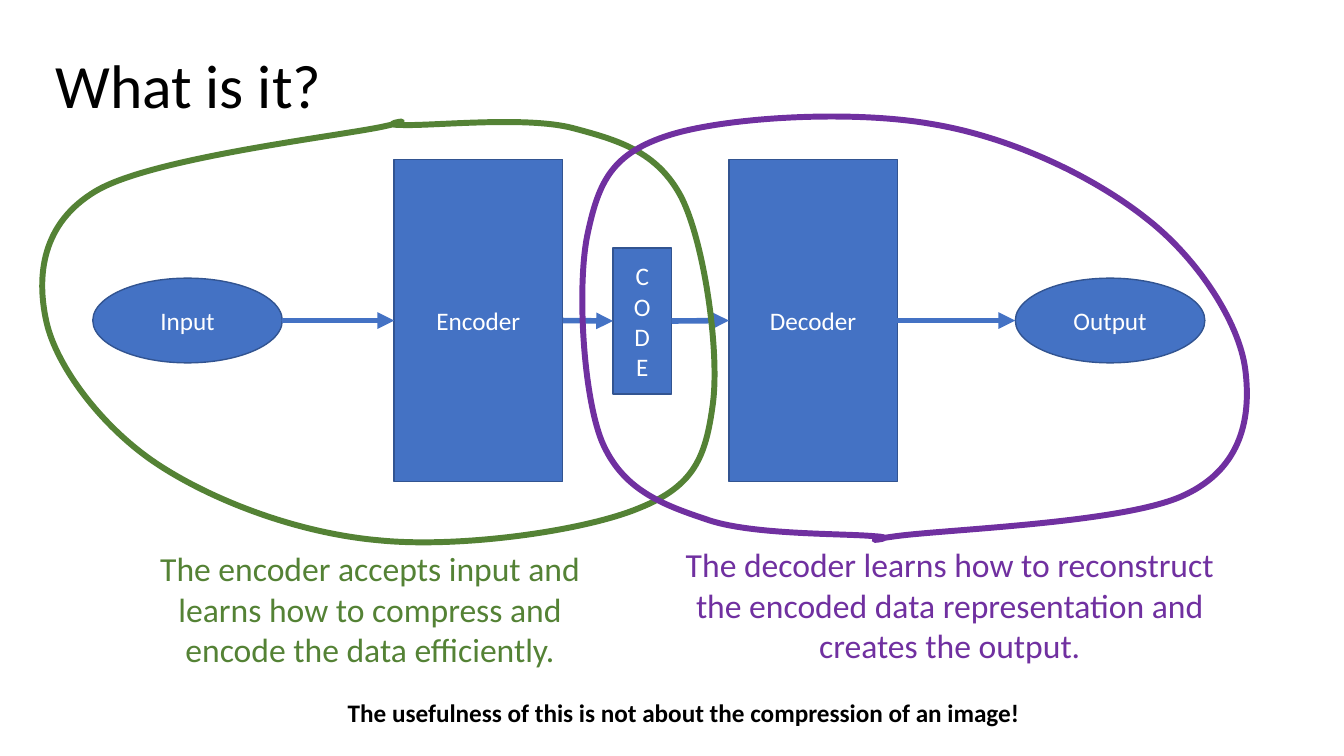
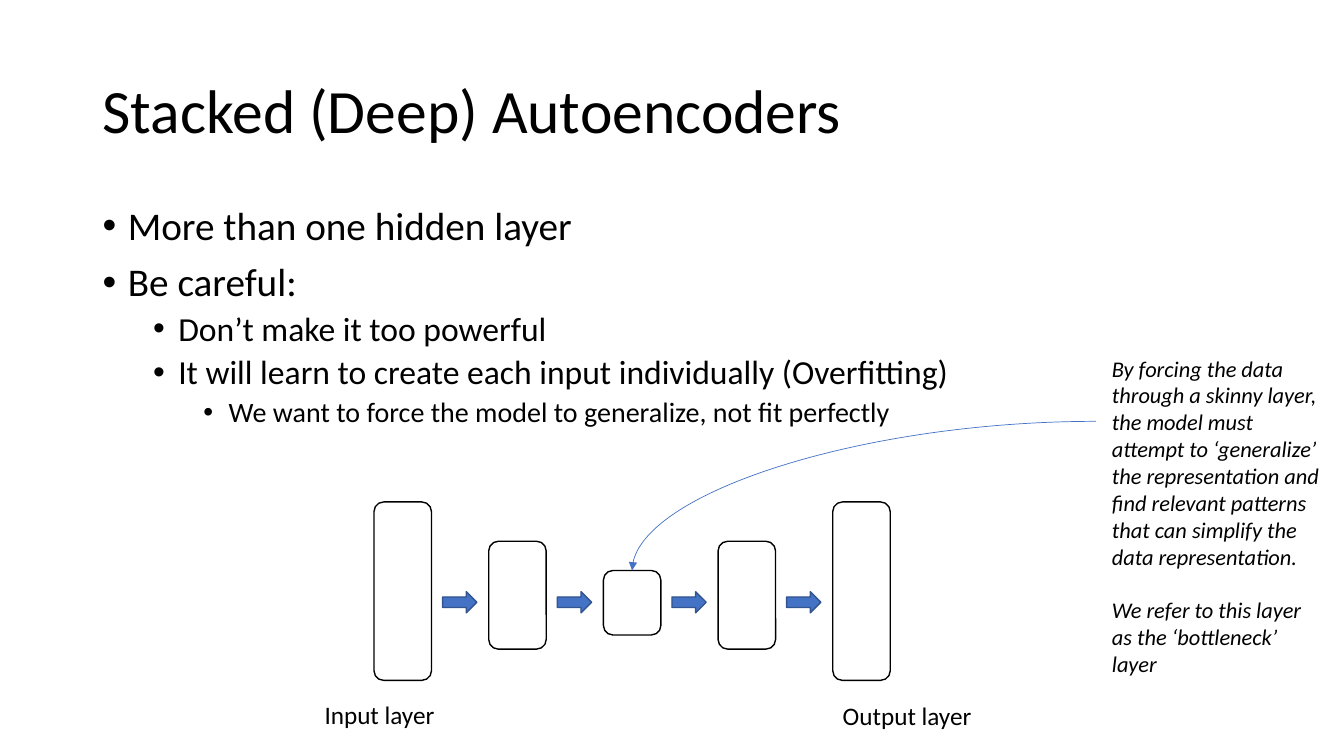
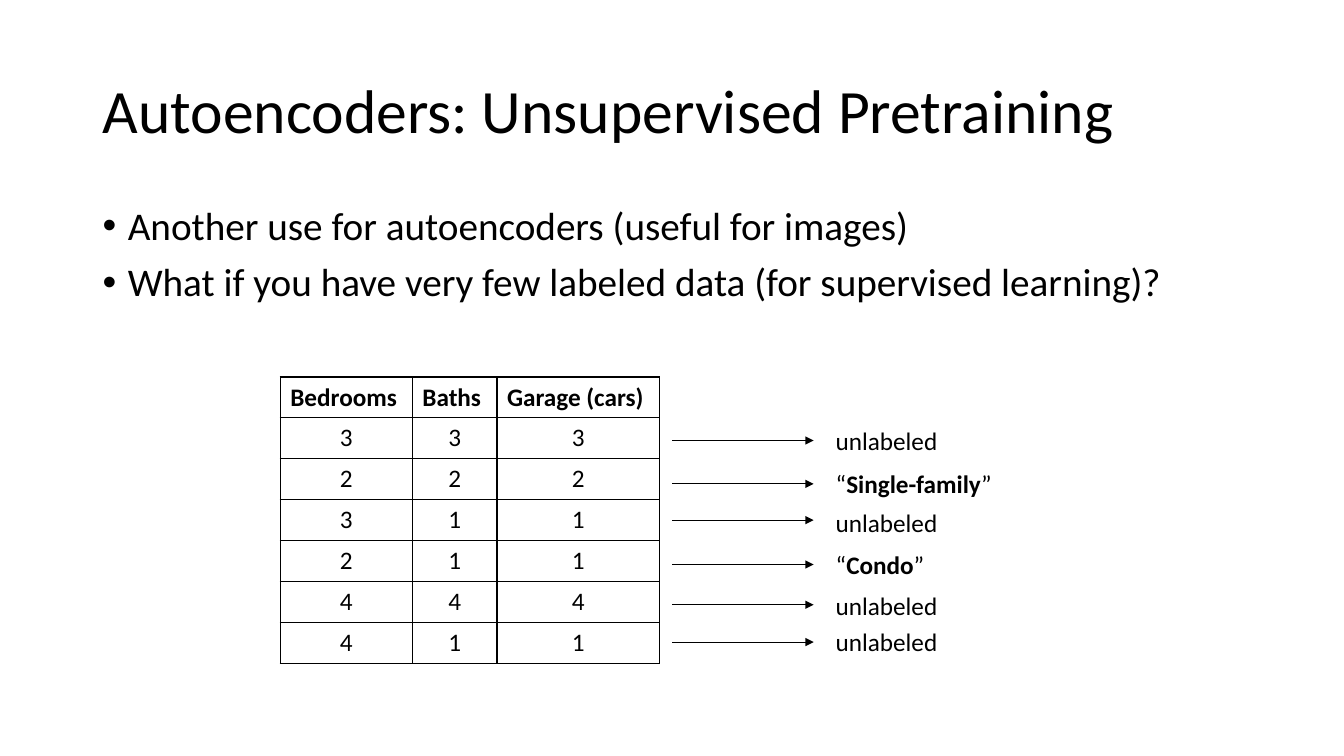
"""Build three slides that introduce autoencoders."""
from itertools import pairwise

from lxml import etree
from pptx import Presentation
from pptx import util as u
from pptx.dml.color import RGBColor
from pptx.enum import shapes, text
from pptx.oxml import ns

COLORS = {"black": "000000", "white": "FFFFFF", "blue": "4472C4",
          "outline": "325491", "green": "548235", "purple": "7030A0"}
FONT = "Calibri"
LEFT, CENTER = text.PP_ALIGN.LEFT, text.PP_ALIGN.CENTER


def write(frame, lines, size, color="black", align=LEFT, bold=False, italic=False):
    frame.word_wrap = True
    for number, line in enumerate(lines):
        paragraph = frame.add_paragraph() if number else frame.paragraphs[0]
        paragraph.alignment = align
        for position, part in enumerate((line,) if isinstance(line, str) else line):
            run = paragraph.add_run()
            run.text = part
            run.font.name = FONT
            run.font.size = u.Pt(size)
            run.font.bold = bold or position % 2 == 1
            run.font.italic = italic
            run.font.color.rgb = RGBColor.from_string(COLORS[color])


def add_arrow(slide, start, end, color, width, kind=shapes.MSO_CONNECTOR.STRAIGHT):
    arrow = slide.shapes.add_connector(kind, *map(u.Inches, start + end))
    arrow.line.color.rgb = RGBColor.from_string(COLORS[color])
    arrow.line.width = u.Pt(width)
    properties = arrow._element.spPr
    etree.SubElement(properties.find(ns.qn("a:ln")), ns.qn("a:tailEnd"), type="triangle")
    etree.SubElement(properties, ns.qn("a:effectLst"))
    return arrow


presentation = Presentation()
presentation.slide_width = u.Inches(13.33)
presentation.slide_height = u.Inches(7.5)

BULLET_STYLES = [(28, 10), (24, 5), (20, 5)]
outlines = [
    ("What is it?", (0.45, 0.15), []),
    ("Stacked (Deep) Autoencoders", (0.92, 0.4), [
        (0, "More than one hidden layer"),
        (0, "Be careful:"),
        (1, "Don’t make it too powerful"),
        (1, "It will learn to create each input individually (Overfitting)"),
        (2, "We want to force the model to generalize, not fit perfectly")]),
    ("Autoencoders: Unsupervised Pretraining", (0.92, 0.4), [
        (0, "Another use for autoencoders (useful for images)"),
        (0, "What if you have very few labeled data (for supervised learning)?")]),
]
for heading, corner, bullets in outlines:
    slide = presentation.slides.add_slide(presentation.slide_layouts[6])
    title = slide.shapes.add_textbox(*map(u.Inches, corner + (11.5, 1.45))).text_frame
    title.vertical_anchor = text.MSO_ANCHOR.MIDDLE
    write(title, [heading], 44)
    title.paragraphs[0].line_spacing = 0.9
    if not bullets:
        continue
    body = slide.shapes.add_textbox(*map(u.Inches, (0.92, 2, 11.5, 4.76))).text_frame
    write(body, [line for level, line in bullets], 28)
    for paragraph, (level, line) in zip(body.paragraphs, bullets):
        size, space = BULLET_STYLES[level]
        paragraph.level = level
        paragraph.line_spacing = 0.9
        paragraph.space_before = u.Pt(space)
        paragraph.runs[0].font.size = u.Pt(size)
        properties = paragraph._p.get_or_add_pPr()
        properties.set("marL", str(u.Inches(0.25 + 0.5 * level)))
        properties.set("indent", str(u.Inches(-0.25)))
        etree.SubElement(properties, ns.qn("a:buFont"), typeface="Arial")
        etree.SubElement(properties, ns.qn("a:buChar"), char="•")

overview, stacked, pretraining = presentation.slides

RECTANGLE, OVAL = shapes.MSO_SHAPE.RECTANGLE, shapes.MSO_SHAPE.OVAL
stages = [
    (["Input"], OVAL, (0.92, 2.76, 1.88, 0.84)),
    (["Encoder"], RECTANGLE, (3.91, 1.58, 1.67, 3.2)),
    (list("CODE"), RECTANGLE, (6.08, 2.46, 0.58, 1.45)),
    (["Decoder"], RECTANGLE, (7.23, 1.58, 1.67, 3.2)),
    (["Output"], OVAL, (10.07, 2.76, 1.88, 0.84)),
]
blocks = []
for lines, preset, box in stages:
    block = overview.shapes.add_shape(preset, *map(u.Inches, box))
    block.shadow.inherit = False
    block.fill.solid()
    block.fill.fore_color.rgb = RGBColor.from_string(COLORS["blue"])
    block.line.color.rgb = RGBColor.from_string(COLORS["outline"])
    block.line.width = u.Pt(1)
    block.text_frame.vertical_anchor = text.MSO_ANCHOR.MIDDLE
    write(block.text_frame, lines, 18, "white", CENTER)
    blocks.append((block, preset, box))

for (source, source_preset, source_box), (target, target_preset, target_box) in pairwise(blocks):
    start = (source_box[0] + source_box[2], source_box[1] + source_box[3] / 2)
    end = (target_box[0], target_box[1] + target_box[3] / 2)
    arrow = add_arrow(overview, start, end, "blue", 4)
    if source_preset == RECTANGLE:
        arrow.begin_connect(source, 3)
    if target_preset == RECTANGLE:
        arrow.end_connect(target, 1)

loops = [
    ("green", (3.99, 1.24), [
        (3.67, 1.24, 4.29, 1.15, 3.78, 1.26), (3.28, 1.36, 1.51, 1.57, 0.96, 1.89),
        (0.41, 2.21, 0.36, 2.74, 0.46, 3.19), (0.56, 3.64, 1.02, 4.25, 1.57, 4.61),
        (2.12, 4.97, 2.96, 5.29, 3.76, 5.36), (4.55, 5.44, 5.79, 5.27, 6.34, 5.04),
        (6.89, 4.82, 7, 4.53, 7.07, 4.01), (7.14, 3.5, 6.99, 2.42, 6.76, 1.96),
        (6.52, 1.5, 6.13, 1.39, 5.68, 1.27), (5.22, 1.15, 4.3, 1.25, 3.99, 1.24)]),
    ("purple", (8.68, 5.32), [
        (8.99, 5.34, 8.37, 5.39, 8.88, 5.32), (9.39, 5.25, 11.17, 5.19, 11.75, 4.91),
        (12.33, 4.64, 12.41, 4.12, 12.35, 3.66), (12.29, 3.2, 11.88, 2.56, 11.36, 2.16),
        (10.84, 1.75, 10.03, 1.36, 9.24, 1.23), (8.45, 1.09, 7.21, 1.16, 6.64, 1.34),
        (6.07, 1.52, 5.94, 1.8, 5.83, 2.31), (5.72, 2.81, 5.78, 3.91, 5.97, 4.38),
        (6.17, 4.85, 6.55, 5, 7, 5.15), (7.44, 5.31, 8.36, 5.29, 8.68, 5.32)]),
]
for color, start, curves in loops:
    anchors = [tuple(map(u.Inches, curve[4:])) for curve in curves]
    builder = overview.shapes.build_freeform(*map(u.Inches, start))
    builder.add_line_segments(anchors, close=True)
    loop = builder.convert_to_shape()
    loop.shadow.inherit = False
    loop.fill.background()
    loop.line.color.rgb = RGBColor.from_string(COLORS[color])
    loop.line.width = u.Pt(4.25)
    for segment, curve in zip(list(loop._element.iter(ns.qn("a:lnTo"))), curves):
        bezier = etree.Element(ns.qn("a:cubicBezTo"))
        for x, y in zip(curve[::2], curve[1::2]):
            etree.SubElement(bezier, ns.qn("a:pt"), x=str(u.Inches(x) - loop.left),
                             y=str(u.Inches(y) - loop.top))
        segment.getparent().replace(segment, bezier)

captions = [
    ((1.26, 5.39, 4.82, 1.31), 24, "green", CENTER, False,
     "The encoder accepts input and learns how to compress and encode the data efficiently."),
    ((6.59, 5.35, 5.66, 1.31), 24, "purple", CENTER, False,
     "The decoder learns how to reconstruct the encoded data representation and creates the output."),
    ((3.35, 6.87, 6.92, 0.4), 18, "black", LEFT, True,
     "The usefulness of this is not about the compression of an image!"),
]
for box, size, color, align, bold, line in captions:
    caption = overview.shapes.add_textbox(*map(u.Inches, box))
    write(caption.text_frame, [line], size, color, align, bold)

ROUNDED, RIGHT_ARROW = shapes.MSO_SHAPE.ROUNDED_RECTANGLE, shapes.MSO_SHAPE.RIGHT_ARROW
layers = [(4.98, 1.77), (5.37, 1.07), (5.66, 0.64), (5.37, 1.07), (4.98, 1.77)]
pitch = (8.26 - 3.71) / (len(layers) - 1)
parts = [(ROUNDED, (3.71 + pitch * i, top, 0.57, height), "white", "black")
         for i, (top, height) in enumerate(layers)]
parts += [(RIGHT_ARROW, (4.39 + pitch * i, 5.87, 0.34, 0.21), "blue", "outline")
          for i in range(len(layers) - 1)]
for preset, box, fill, line in parts:
    shape = stacked.shapes.add_shape(preset, *map(u.Inches, box))
    shape.shadow.inherit = False
    shape.fill.solid()
    shape.fill.fore_color.rgb = RGBColor.from_string(COLORS[fill])
    shape.line.color.rgb = RGBColor.from_string(COLORS[line])
    shape.line.width = u.Pt(1)

for left, top, line in [(3.12, 6.89, "Input layer"), (8.26, 6.9, "Output layer")]:
    label = stacked.shapes.add_textbox(*map(u.Inches, (left, top, 1.49, 0.4)))
    write(label.text_frame, [line], 18)

pointer = add_arrow(stacked, (10.87, 4.18), (6.27, 5.66), "blue", 0.5, shapes.MSO_CONNECTOR.CURVE)
pointer._element.spPr.find(ns.qn("a:prstGeom")).set("prst", "curvedConnector2")

remark = stacked.shapes.add_textbox(*map(u.Inches, (10.93, 3.47, 2.26, 3.6))).text_frame
write(remark, [
    "By forcing the data through a skinny layer, the model must attempt to ‘generalize’ "
    "the representation and find relevant patterns that can simplify the data representation.",
    "We refer to this layer as the ‘bottleneck’ layer"], 16, italic=True)
remark.paragraphs[1].space_before = u.Pt(19)

rows = [("Bedrooms", "Baths", "Garage (cars)"), "333", "222", "311", "211", "444", "411"]
widths = [1.31, 0.84, 1.61]
height = 2.84
table = pretraining.shapes.add_table(
    len(rows), len(widths), *map(u.Inches, (2.78, 3.74, sum(widths), height))).table
table.first_row = table.horz_banding = False
for column, width in zip(table.columns, widths):
    column.width = u.Inches(width)
for r, row in enumerate(rows):
    table.rows[r].height = u.Inches(height / len(rows))
    for c, value in enumerate(row):
        cell = table.cell(r, c)
        write(cell.text_frame, [value], 18, align=CENTER if r else LEFT, bold=r == 0)
        properties = cell._tc.get_or_add_tcPr()
        for side in ("a:lnL", "a:lnR", "a:lnT", "a:lnB"):
            border = etree.SubElement(properties, ns.qn(side), w=str(u.Pt(1)))
            paint = etree.SubElement(border, ns.qn("a:solidFill"))
            etree.SubElement(paint, ns.qn("a:srgbClr"), val=COLORS["black"])
        cell.fill.background()

targets = [
    (4.37, 4.17, "unlabeled"), (4.8, 4.6, ("“", "Single-family", "”")),
    (5.16, 4.98, "unlabeled"), (5.6, 5.4, ("“", "Condo", "”")),
    (6, 5.81, "unlabeled"), (6.37, 6.16, "unlabeled"),
]
for arrow_y, label_top, line in targets:
    add_arrow(pretraining, (6.67, arrow_y), (8.07, arrow_y), "black", 0.5)
    label = pretraining.shapes.add_textbox(*map(u.Inches, (8.19, label_top, 2.71, 0.4)))
    write(label.text_frame, [line], 18)

presentation.save("out.pptx")
